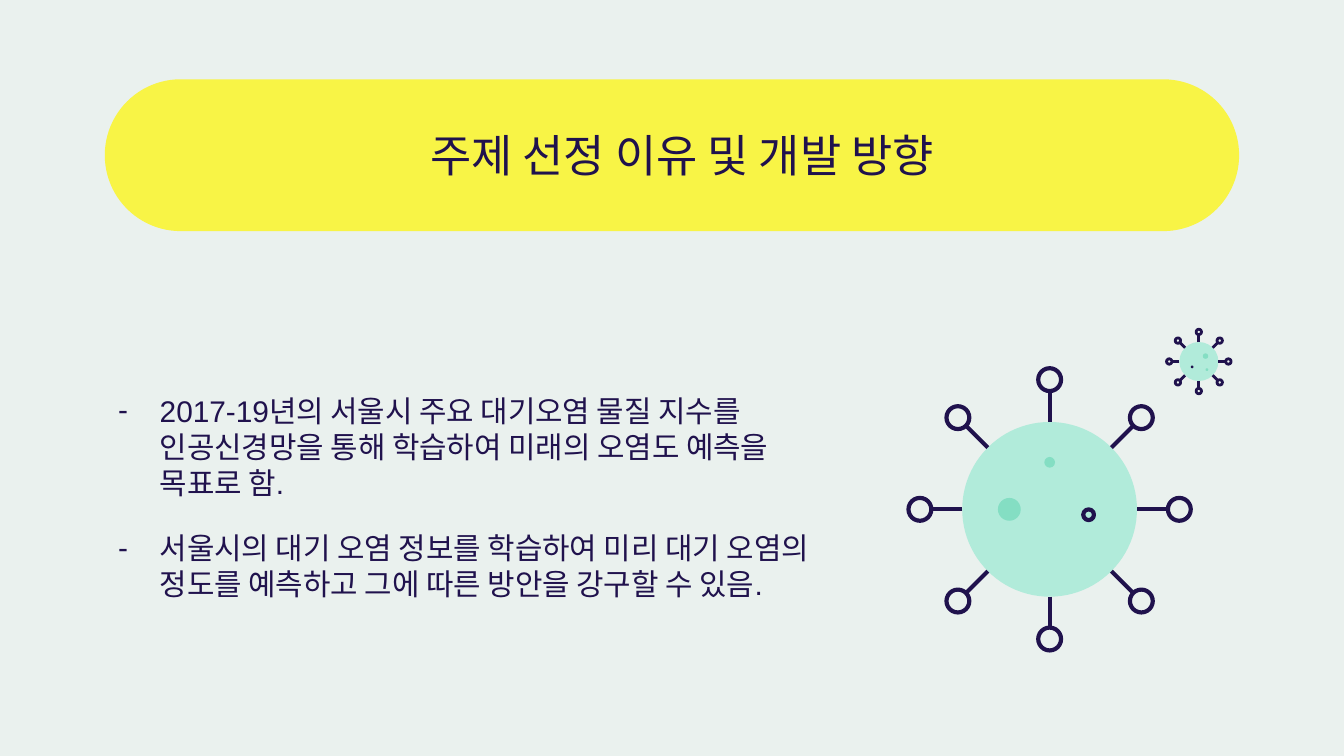
from math import cos, pi, sin

from lxml.etree import SubElement
from pptx import Presentation
from pptx.dml.color import RGBColor
from pptx.enum.shapes import MSO_CONNECTOR, MSO_SHAPE
from pptx.enum.text import MSO_ANCHOR, PP_ALIGN
from pptx.oxml.ns import qn
from pptx.util import Inches, Pt

# Content
TITLE = "주제 선정 이유 및 개발 방향"
POINTS = [
    "2017-19년의 서울시 주요 대기오염 물질 지수를 인공신경망을 통해 학습하여 "
    "미래의 오염도 예측을 목표로 함.",
    "서울시의 대기 오염 정보를 학습하여 미리 대기 오염의 정도를 예측하고 "
    "그에 따른 방안을 강구할 수 있음.",
]

THEME = {
    "background": "EAF1EE", "banner": "F8F446", "ink": "20124D",
    "body": "B1EBDA", "spot": "84DEC3",
    "font": "Arial", "title": 24, "text": 16,
}

# Spots: offset from the centre, radius, fill, outlined
VIRUSES = [
    {"center": (7.81, 3.79), "radius": 0.65, "stalk_end": 0.88, "knob": 0.085,
     "width": 2.25,
     "spots": [(-0.3, 0, 0.085, "spot", False), (0.29, 0.04, 0.04, None, True),
               (0, -0.35, 0.04, "spot", False)]},
    {"center": (8.92, 2.69), "radius": 0.145, "stalk_end": 0.2, "knob": 0.02,
     "width": 1.5,
     "spots": [(0.05, -0.04, 0.02, "spot", False), (-0.05, 0.04, 0.01, "ink", False),
               (0.06, 0.06, 0.01, "spot", False)]},
]
ARMS = 8


def color(name):
    return RGBColor.from_string(THEME[name])


def add_shape(shapes, kind, place, fill=None, width=None):
    shape = shapes.add_shape(kind, *map(Inches, place))
    shape.shadow.inherit = False
    if fill:
        shape.fill.solid()
        shape.fill.fore_color.rgb = color(fill)
    else:
        shape.fill.background()
    if width:
        shape.line.color.rgb = color("ink")
        shape.line.width = Pt(width)
    else:
        shape.line.fill.background()
    return shape


def add_circle(shapes, x, y, radius, **style):
    place = (x - radius, y - radius, 2 * radius, 2 * radius)
    return add_shape(shapes, MSO_SHAPE.OVAL, place, **style)


def add_line(shapes, start, end, width):
    line = shapes.add_connector(MSO_CONNECTOR.STRAIGHT, *map(Inches, (*start, *end)))
    line.line.color.rgb = color("ink")
    line.line.width = Pt(width)
    SubElement(line._element.spPr, qn("a:effectLst"))


def add_bullet(para, mark, indent):
    properties = para._p.get_or_add_pPr()
    properties.set("marL", str(Inches(indent)))
    properties.set("indent", str(-Inches(indent)))
    bullet_color = SubElement(properties, qn("a:buClr"))
    SubElement(bullet_color, qn("a:srgbClr"), val=THEME["ink"])
    SubElement(properties, qn("a:buFont"), typeface=THEME["font"])
    SubElement(properties, qn("a:buChar"), char=mark)


def add_text(page, texts, place, size, align=PP_ALIGN.LEFT, insets=(0.1, 0.1),
             bullet=None, gap=0):
    box = page.shapes.add_textbox(*map(Inches, place))
    frame = box.text_frame
    frame.word_wrap = True
    frame.vertical_anchor = MSO_ANCHOR.MIDDLE
    frame.margin_top, frame.margin_bottom = map(Inches, insets)
    for index, text in enumerate(texts):
        para = frame.add_paragraph() if index else frame.paragraphs[0]
        para.alignment = align
        if index:
            para.space_before = para.space_after = Pt(gap)
        if bullet:
            add_bullet(para, bullet, 0.31)
        span = para.add_run()
        span.text = text
        span.font.name = THEME["font"]
        span.font.size = Pt(size)
        span.font.color.rgb = color("ink")


def add_virus(page, center, radius, stalk_end, knob, width, spots):
    shapes = page.shapes.add_group_shape().shapes
    x, y = center
    add_circle(shapes, x, y, radius, fill="body")
    for arm in range(ARMS):
        angle = 2 * pi * arm / ARMS
        start, end, tip = (
            (x + reach * cos(angle), y + reach * sin(angle))
            for reach in (radius, stalk_end, stalk_end + knob)
        )
        add_line(shapes, start, end, width)
        add_circle(shapes, *tip, knob, width=width)
    for across, down, size, fill, outlined in spots:
        add_circle(shapes, x + across, y + down, size, fill=fill,
                   width=width if outlined else None)


def main():
    deck = Presentation()
    # A 16:9 page
    deck.slide_width = Inches(10)
    deck.slide_height = deck.slide_width * 9 // 16
    page = deck.slides.add_slide(deck.slide_layouts[6])
    page.background.fill.solid()
    page.background.fill.fore_color.rgb = color("background")

    # Title banner
    banner = add_shape(page.shapes, MSO_SHAPE.ROUNDED_RECTANGLE,
                       (0.78, 0.59, 8.44, 1.13), fill="banner")
    banner.adjustments[0] = 0.5
    add_text(page, [TITLE], (1.23, 0.63, 7.69, 1.04), THEME["title"],
             align=PP_ALIGN.CENTER)

    # Reasons and direction
    add_text(page, POINTS, (0.78, 2.31, 5.39, 2.58), THEME["text"],
             insets=(0.2, 0), bullet="-", gap=16)

    # Virus illustrations
    for virus in VIRUSES:
        add_virus(page, **virus)

    deck.save("out.pptx")


if __name__ == "__main__":
    main()
